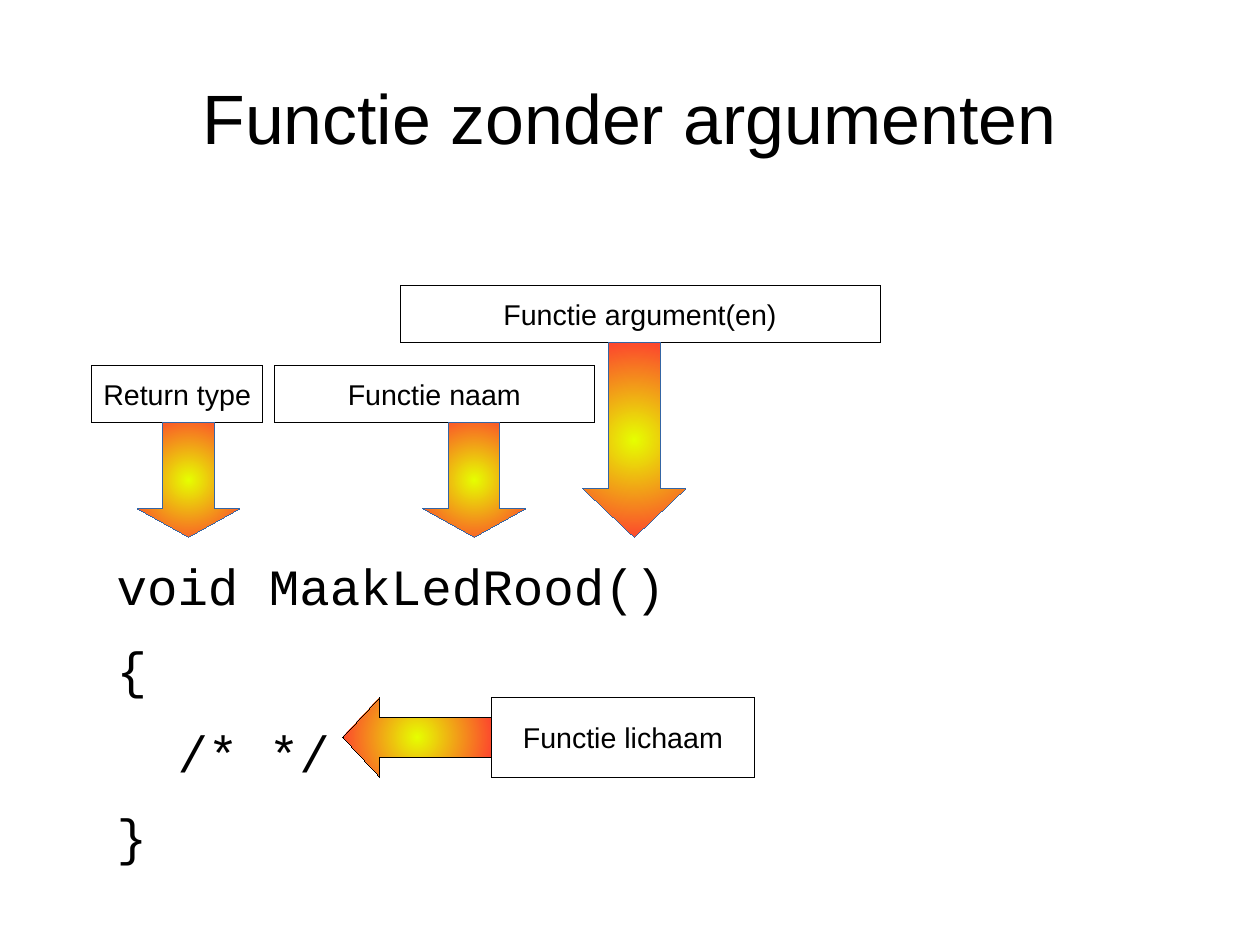
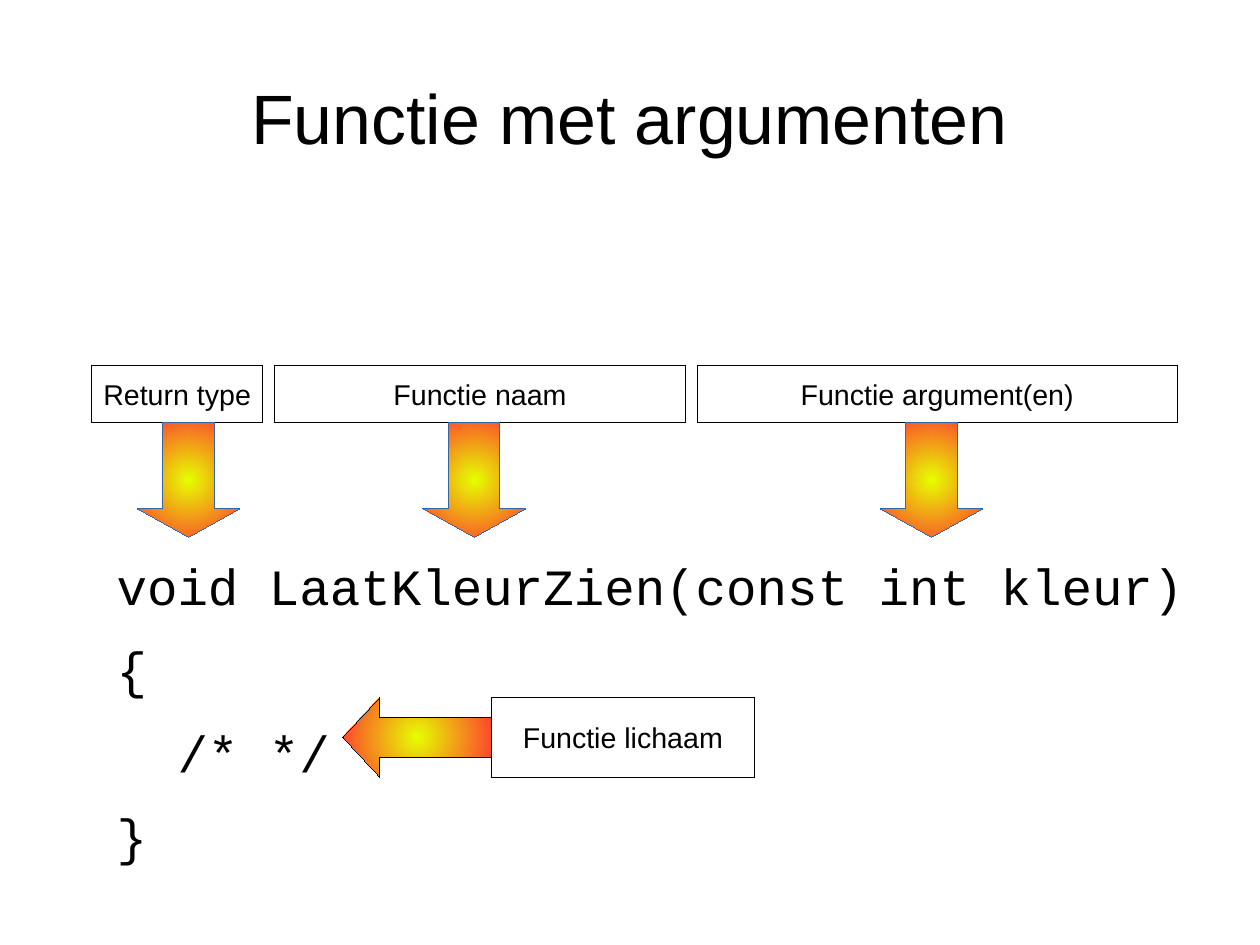
import pptx
import pptx.util
import pptx.dml.color
import pptx.enum.shapes
import pptx.enum.text
import pptx.oxml
import pptx.oxml.ns
from dataclasses import dataclass

SHAPE = pptx.enum.shapes.MSO_SHAPE
ALIGN = pptx.enum.text.PP_ALIGN
ANCHOR = pptx.enum.text.MSO_ANCHOR


@dataclass(frozen=True)
class Theme:
    ink: str = "000000"
    paper: str = "FFFFFF"
    edge: str = "3465A4"
    glow: str = "E6FF00"
    heat: str = "FF3333"
    sans: str = "Arial"
    mono: str = "Courier New"
    title: int = 44
    code: int = 32
    label: int = 18
    lead: float = 38.4
    gap: float = 14.2


class Deck:
    wide = pptx.util.Cm(28)
    high = pptx.util.Cm(21)
    cell = pptx.util.Inches(0.1)

    def __init__(self, theme):
        self.theme = theme
        self.file = pptx.Presentation()
        self.file.slide_width = self.wide
        self.file.slide_height = self.high
        self.slide = None

    def color(self, code):
        return pptx.dml.color.RGBColor.from_string(code)

    def grid(self, *cells):
        return [round(n * self.cell) for n in cells]

    def share(self, left, top, width, height):
        return [round(n) for n in (
            left * self.wide, top * self.high, width * self.wide, height * self.high)]

    def style(self, para, face, size, align):
        para.alignment = align
        para.font.name = face
        para.font.size = pptx.util.Pt(size)
        para.font.color.rgb = self.color(self.theme.ink)

    def text(self, box, wrap):
        frame = self.slide.shapes.add_textbox(*box).text_frame
        frame.word_wrap = wrap
        frame.margin_left = frame.margin_right = 0
        frame.margin_top = frame.margin_bottom = 0
        return frame

    def title(self, words):
        self.slide = self.file.slides.add_slide(self.file.slide_layouts[6])
        frame = self.text(self.share(0.05, 0.04, 0.9, 1 / 6), True)
        frame.vertical_anchor = ANCHOR.MIDDLE
        frame.text = words
        self.style(frame.paragraphs[0], self.theme.sans, self.theme.title, ALIGN.CENTER)

    def code(self, lines, col, row, cols, rows):
        frame = self.text(self.grid(col, row, cols, rows), False)
        frame.text = "\n".join(lines)
        for para in frame.paragraphs:
            self.style(para, self.theme.mono, self.theme.code, ALIGN.LEFT)
            para.line_spacing = pptx.util.Pt(self.theme.lead)
            para.space_after = pptx.util.Pt(self.theme.gap)

    def shape(self, kind, box, edge):
        shape = self.slide.shapes.add_shape(kind, *self.grid(*box))
        shape.shadow.inherit = False
        shape.line.color.rgb = self.color(edge)
        shape._element.spPr.find(pptx.oxml.ns.qn("a:ln")).set("w", "0")
        return shape

    def label(self, words, *box):
        shape = self.shape(SHAPE.RECTANGLE, box, self.theme.ink)
        shape.fill.solid()
        shape.fill.fore_color.rgb = self.color(self.theme.paper)
        frame = shape.text_frame
        frame.word_wrap = False
        frame.vertical_anchor = ANCHOR.MIDDLE
        frame.text = words
        self.style(frame.paragraphs[0], self.theme.sans, self.theme.label, ALIGN.CENTER)

    def arrow(self, kind, edge, *box):
        shape = self.shape(kind, box, edge)
        cols, rows = box[2:]
        shape.adjustments[0] = 0.5
        shape.adjustments[1] = max(cols, rows) / min(cols, rows) / 4
        self.radial(shape)

    def radial(self, shape):
        shape.fill.gradient()
        hues = (self.theme.glow, self.theme.heat)
        for spot, (stop, hue) in enumerate(zip(shape.fill.gradient_stops, hues)):
            stop.position = spot
            stop.color.rgb = self.color(hue)
        grad = shape._element.spPr.find(pptx.oxml.ns.qn("a:gradFill"))
        grad.replace(grad.find(pptx.oxml.ns.qn("a:lin")), pptx.oxml.parse_xml(
            f'<a:path {pptx.oxml.ns.nsdecls("a")} path="circle">'
            '<a:fillToRect l="50000" t="50000" r="50000" b="50000"/></a:path>'))

    def down(self, col, row, base=47):
        self.arrow(SHAPE.DOWN_ARROW, self.theme.edge, col, row, 9, base - row)

    def left(self, *box):
        self.arrow(SHAPE.LEFT_ARROW, self.theme.ink, *box)


def draw(deck, title, head, name, args, point):
    deck.title(title)
    deck.code([head, "{", "  /* */", "}"], 10.2, 48.5, 96, 30)
    tags = (
        ("Return type", 8, 32, 15, 12),
        ("Functie naam", 24, 32, name, 37),
        ("Functie argument(en)", *args, 42, point),
    )
    for words, col, row, cols, tip in tags:
        deck.label(words, col, row, cols, 5)
        deck.down(tip, row + 5)
    deck.label("Functie lichaam", 43, 61, 23, 7)
    deck.left(30, 61, 13, 7)


def main():
    deck = Deck(Theme())
    draw(deck, "Functie zonder argumenten", "void MaakLedRood()", 28, (35, 25), 51)
    draw(deck, "Functie met argumenten", "void LaatKleurZien(const int kleur)", 36, (61, 32), 77)
    deck.file.save("out.pptx")


if __name__ == "__main__":
    main()
